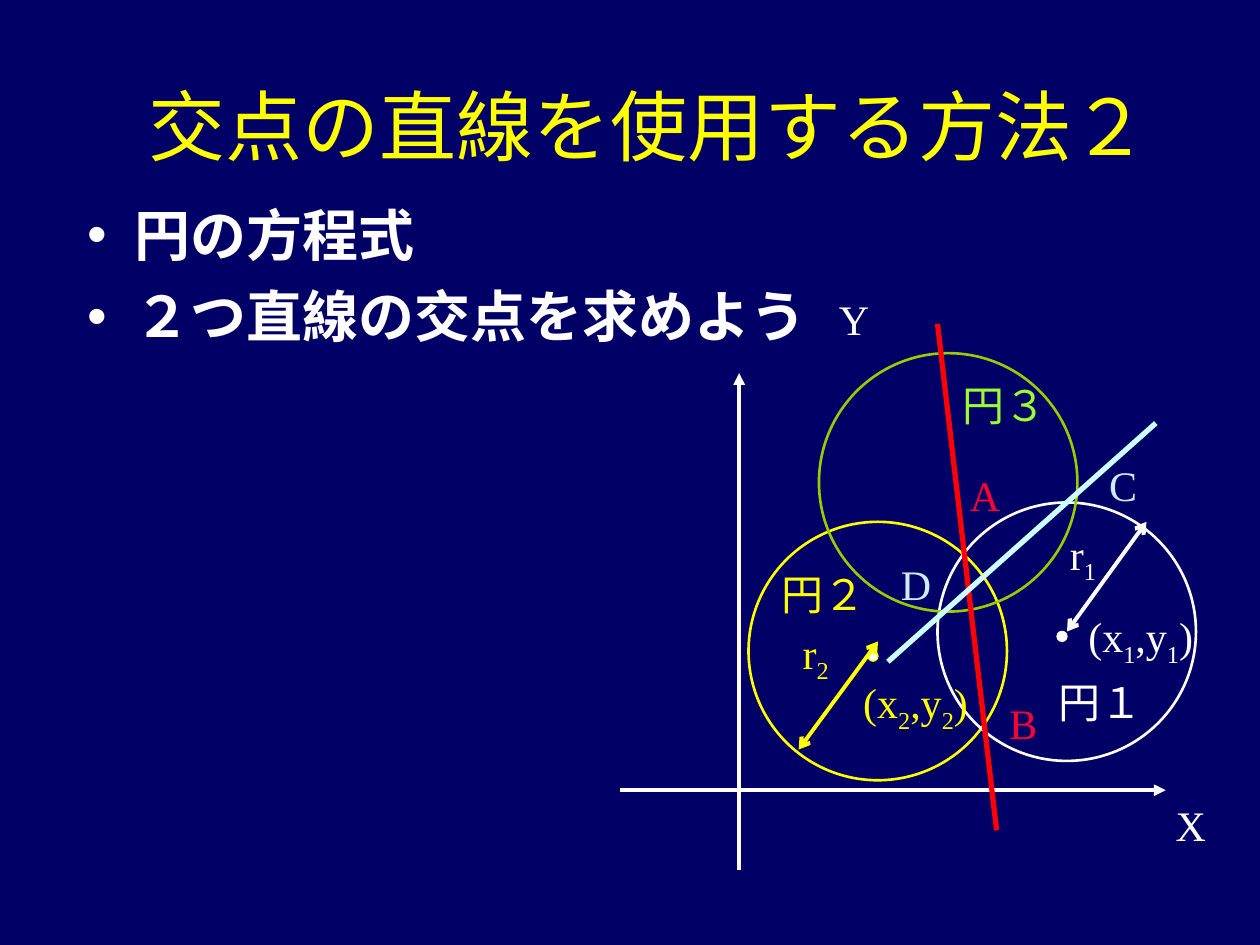
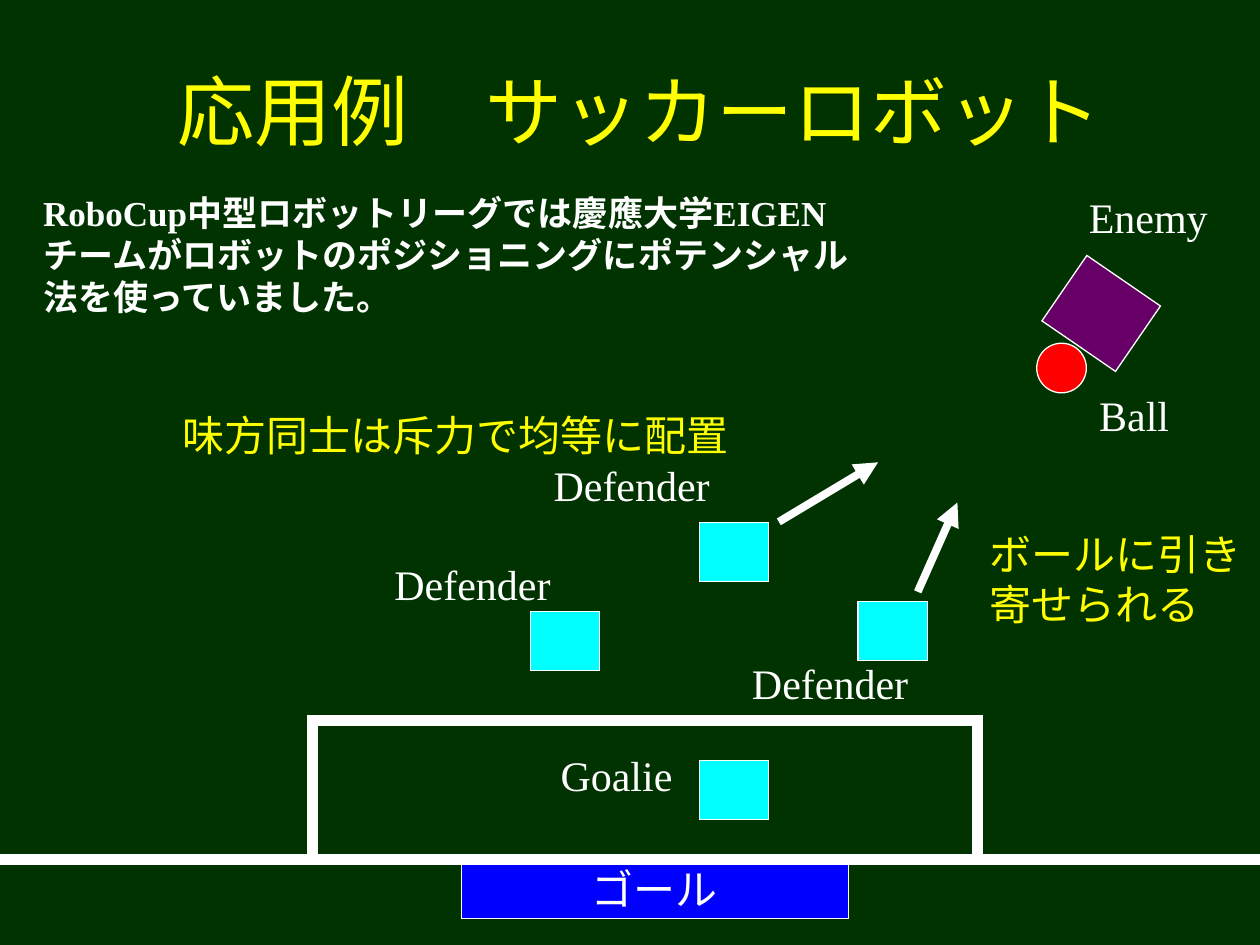
from dataclasses import dataclass

from lxml import etree
from pptx import Presentation
from pptx.dml import color
from pptx.enum import shapes, text
from pptx.oxml import ns
from pptx.util import Cm, Pt


@dataclass(frozen=True)
class Theme:
    font: str = "Times New Roman"
    title_size: int = 44
    body_size: int = 32
    note_size: int = 20
    label_size: int = 24
    navy: str = "000066"
    pitch: str = "003300"
    white: str = "FFFFFF"
    yellow: str = "FFFF00"
    red: str = "FF0000"
    crimson: str = "FF0033"
    olive: str = "99CC00"
    lime: str = "99FF33"
    ice: str = "CCFFFF"
    pale: str = "CCECFF"
    cyan: str = "00FFFF"
    purple: str = "660066"
    blue: str = "0000FF"


T = Theme()
rgb = color.RGBColor.from_string
OVAL, RECT = shapes.MSO_SHAPE.OVAL, shapes.MSO_SHAPE.RECTANGLE


def write(p, words, size, hue, bold=False):
    """Fill a paragraph; the character after each underscore is a subscript."""
    p.text, *subscripts = words.split("_")
    for part in subscripts:
        r = p.add_run()
        r.text = part[0]
        r._r.get_or_add_rPr().set("baseline", "-25000")
        if part[1:]:
            p.add_run().text = part[1:]
    p.font.name, p.font.size, p.font.bold = T.font, Pt(size), bold
    p.font.color.rgb = rgb(hue)


def add_child(parent, tag, **attributes):
    return etree.SubElement(parent, ns.qn(tag), attributes)


prs = Presentation()
prs.slide_width, prs.slide_height = Cm(25.4), Cm(19.05)

# Circle diagram: figures are kind, left, top, width, height, fill, line, weight, turn, text
circle, dot = 5.21, 0.2
circle_figures = [
    (OVAL, 15.09, 10.52, circle, circle, None, T.yellow, 1.5, 0, ""),
    (OVAL, 17.5, 13.13, dot, dot, T.white, T.yellow, 0.75, 0, ""),
    (OVAL, 18.9, 10.13, circle, circle, None, T.white, 1.5, 0, ""),
    (OVAL, 21.31, 12.73, dot, dot, T.white, T.white, 0.75, 0, ""),
    (OVAL, 16.51, 7.12, circle, circle, None, T.olive, 1.5, 0, ""),
]
# Lines are start x, start y, end x, end y, colour, weight, head, tail
circle_lines = [
    (12.5, 15.93, 23.5, 15.93, T.white, 2.25, "none", "triangle"),
    (14.9, 17.53, 14.9, 7.52, T.white, 2.25, "none", "triangle"),
    (16.1, 15.11, 17.7, 12.93, T.yellow, 2.25, "arrow", "arrow"),
    (21.51, 12.73, 23.11, 10.52, T.white, 2.25, "arrow", "arrow"),
    (18.9, 6.53, 20.09, 16.74, T.red, 3, "none", "none"),
    (23.3, 8.53, 17.9, 13.34, T.ice, 3, "none", "none"),
]
# Labels are text, left, top, width, height, colour, size
circle_labels = [
    (words, x, y, w, 1.42 if "_" in words else 1.27, hue, T.label_size)
    for words, x, y, w, hue in [
        ("X", 23.45, 16, 1.12, T.white),
        ("Y", 16.66, 5.79, 1.12, T.white),
        ("(x_2,y_2)", 17.15, 13.52, 2.62, T.yellow),
        ("r_2", 15.93, 12.52, 1.04, T.yellow),
        ("(x_1,y_1)", 21.69, 12.19, 2.62, T.white),
        ("r_1", 21.32, 10.52, 1.04, T.white),
        ("A", 19.3, 9.34, 1.12, T.crimson),
        ("B", 20.1, 13.94, 1.07, T.crimson),
        ("C", 22.11, 9.14, 1.07, T.pale),
        ("D", 17.91, 11.13, 1.12, T.pale),
        ("円１", 21.09, 13.52, 2.3, T.white),
        ("円２", 15.5, 11.33, 2.3, T.yellow),
        ("円３", 19.16, 7.52, 2.3, T.lime),
    ]
]

# Soccer field, in the same forms
robots = [(14.1, 10.53), (14.1, 15.33), (17.3, 12.12), (10.69, 12.33)]
goal_line = 17.33
field_figures = [
    (OVAL, 20.9, 6.92, 1, 1, T.red, T.white, 0.75, 0, ""),
    (RECT, 21.3, 5.52, 1.8, 1.6, T.purple, T.white, 0.75, 34.5, ""),
    (RECT, 9.3, goal_line, 7.8, 1.19, T.blue, T.white, 0.75, 0, "ゴール"),
    (RECT, 6.3, 14.53, 13.41, 2.8, None, T.white, 6, 0, ""),
] + [(RECT, x, y, 1.4, 1.19, T.cyan, T.white, 0.75, 0, "") for x, y in robots]
field_lines = [
    (0, goal_line, 25.4, goal_line, T.white, 6, "none", "none"),
    (15.7, 10.52, 17.7, 9.32, T.white, 4.5, "none", "triangle"),
    (18.5, 11.93, 19.3, 10.13, T.white, 4.5, "none", "triangle"),
]
field_labels = [
    ("Enemy", 21.7, 3.73, 2.9, 1.27, T.white, T.label_size),
    ("Ball", 21.91, 7.72, 1.91, 1.27, T.white, T.label_size),
    ("Goalie", 11.05, 14.99, 2.77, 1.27, T.white, T.label_size),
    ("味方同士は斥力で均等に配置", 3.43, 8.13, 11.51, 1.27, T.yellow, T.label_size),
    ("ボールに引き\n寄せられる", 19.7, 10.52, 5.62, 2.29, T.yellow, T.label_size),
    ("RoboCup中型ロボットリーグでは慶應大学EIGEN\n"
     "チームがロボットのポジショニングにポテンシャル\n"
     "法を使っていました。", 0.62, 3.73, 16.8, 2.79, T.white, T.note_size),
] + [("Defender", x, y, 3.66, 1.27, T.white, T.label_size)
     for x, y in [(7.7, 11.13), (10.91, 9.13), (14.91, 13.13)]]

# Title, its position, background, bullets and drawing of each slide
pages = [
    ("交点の直線を使用する方法２", 2.29, 0.92, T.navy,
     ["円の方程式", "２つ直線の交点を求めよう"],
     circle_figures, circle_lines, circle_labels),
    ("応用例　サッカーロボット", 2.11, 0.63, T.pitch, [],
     field_figures, field_lines, field_labels),
]

for title, left, top, ground, bullets, figures, lines, labels in pages:
    s = prs.slides.add_slide(prs.slide_layouts[1 if bullets else 5])
    s.background.fill.solid()
    s.background.fill.fore_color.rgb = rgb(ground)

    # Title
    sp = s.shapes.title
    sp.left, sp.top, sp.width, sp.height = Cm(left), Cm(top), Cm(21.59), Cm(3.18)
    tf = sp.text_frame
    tf.auto_size = text.MSO_AUTO_SIZE.NONE
    tf.vertical_anchor = text.MSO_ANCHOR.MIDDLE
    write(tf.paragraphs[0], title, T.title_size, T.yellow)
    tf.paragraphs[0].alignment = text.PP_ALIGN.CENTER

    # Bulleted list
    if bullets:
        sp = s.placeholders[1]
        sp.left, sp.top, sp.width, sp.height = Cm(1.5), Cm(3.92), Cm(21.59), Cm(13.13)
        tf = sp.text_frame
        tf.auto_size = text.MSO_AUTO_SIZE.NONE
        for i, words in enumerate(bullets):
            p = tf.add_paragraph() if i else tf.paragraphs[0]
            pPr = p._p.get_or_add_pPr()
            pPr.set("marL", str(Cm(0.95)))
            pPr.set("indent", str(-Cm(0.95)))
            add_child(add_child(pPr, "a:buClr"), "a:srgbClr", val=T.white)
            add_child(pPr, "a:buChar", char="•")
            p.space_before = Pt(8 if i else 0)
            write(p, words, T.body_size, T.white, bold=True)

    # Figures
    for kind, x, y, w, h, fill, line, weight, turn, words in figures:
        sp = s.shapes.add_shape(kind, Cm(x), Cm(y), Cm(w), Cm(h))
        sp.shadow.inherit = False
        sp.rotation = turn
        if fill:
            sp.fill.solid()
            sp.fill.fore_color.rgb = rgb(fill)
        else:
            sp.fill.background()
        sp.line.color.rgb, sp.line.width = rgb(line), Pt(weight)
        add_child(sp.line._get_or_add_ln(), "a:miter", lim="800000")
        if words:
            sp.text_frame.word_wrap = False
            write(sp.text_frame.paragraphs[0], words, T.label_size, T.white)

    # Lines and arrows
    for x1, y1, x2, y2, hue, weight, head, tail in lines:
        sp = s.shapes.add_connector(shapes.MSO_CONNECTOR.STRAIGHT,
                                    Cm(x1), Cm(y1), Cm(x2), Cm(y2))
        sp.line.color.rgb, sp.line.width = rgb(hue), Pt(weight)
        ln = sp.line._get_or_add_ln()
        add_child(ln, "a:headEnd", type=head)
        add_child(ln, "a:tailEnd", type=tail)
        add_child(sp._element.spPr, "a:effectLst")

    # Labels
    for words, x, y, w, h, hue, size in labels:
        tf = s.shapes.add_textbox(Cm(x), Cm(y), Cm(w), Cm(h)).text_frame
        tf.word_wrap = False
        tf.auto_size = text.MSO_AUTO_SIZE.SHAPE_TO_FIT_TEXT
        write(tf.paragraphs[0], words, size, hue, bold=size == T.note_size)

prs.save("out.pptx")
